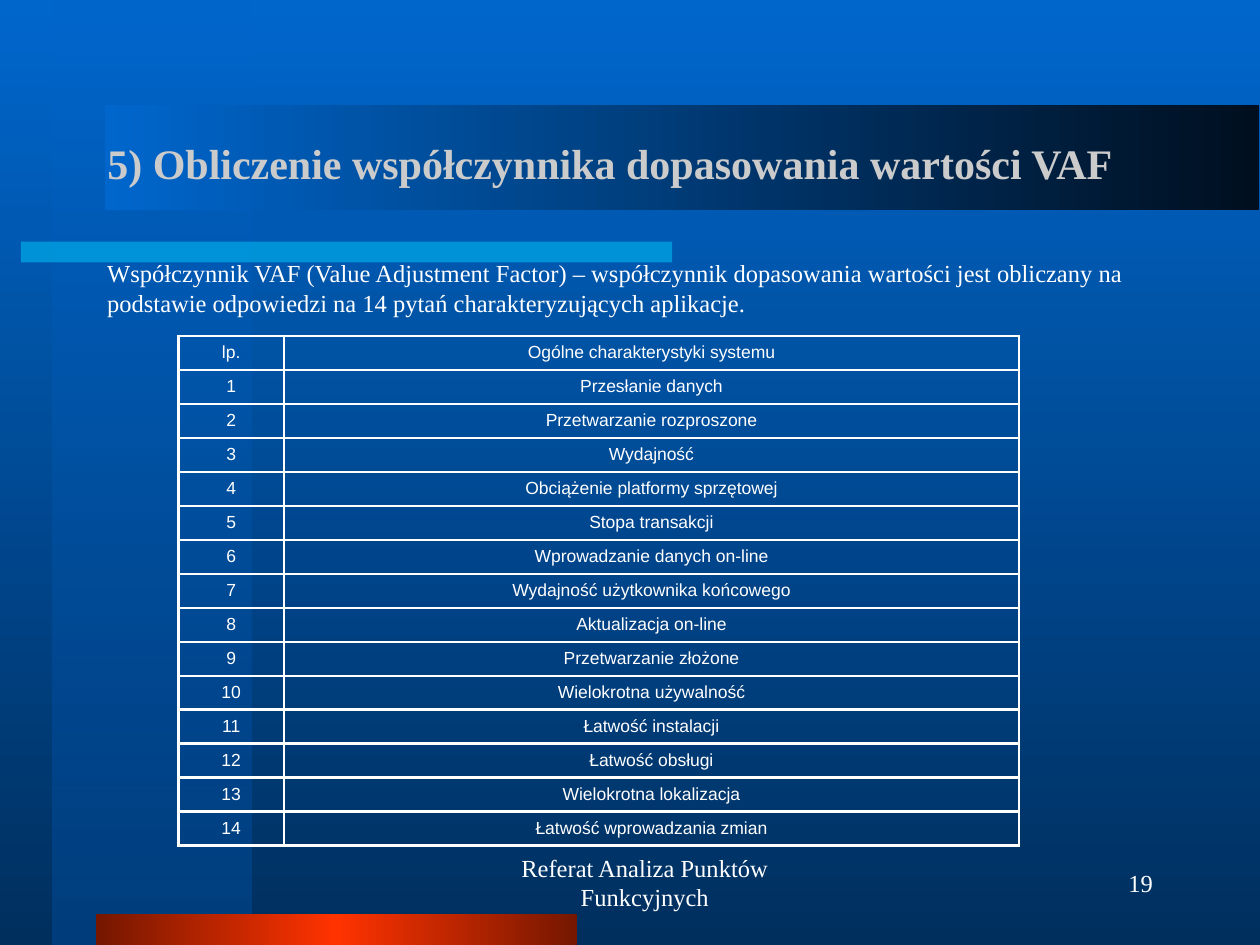
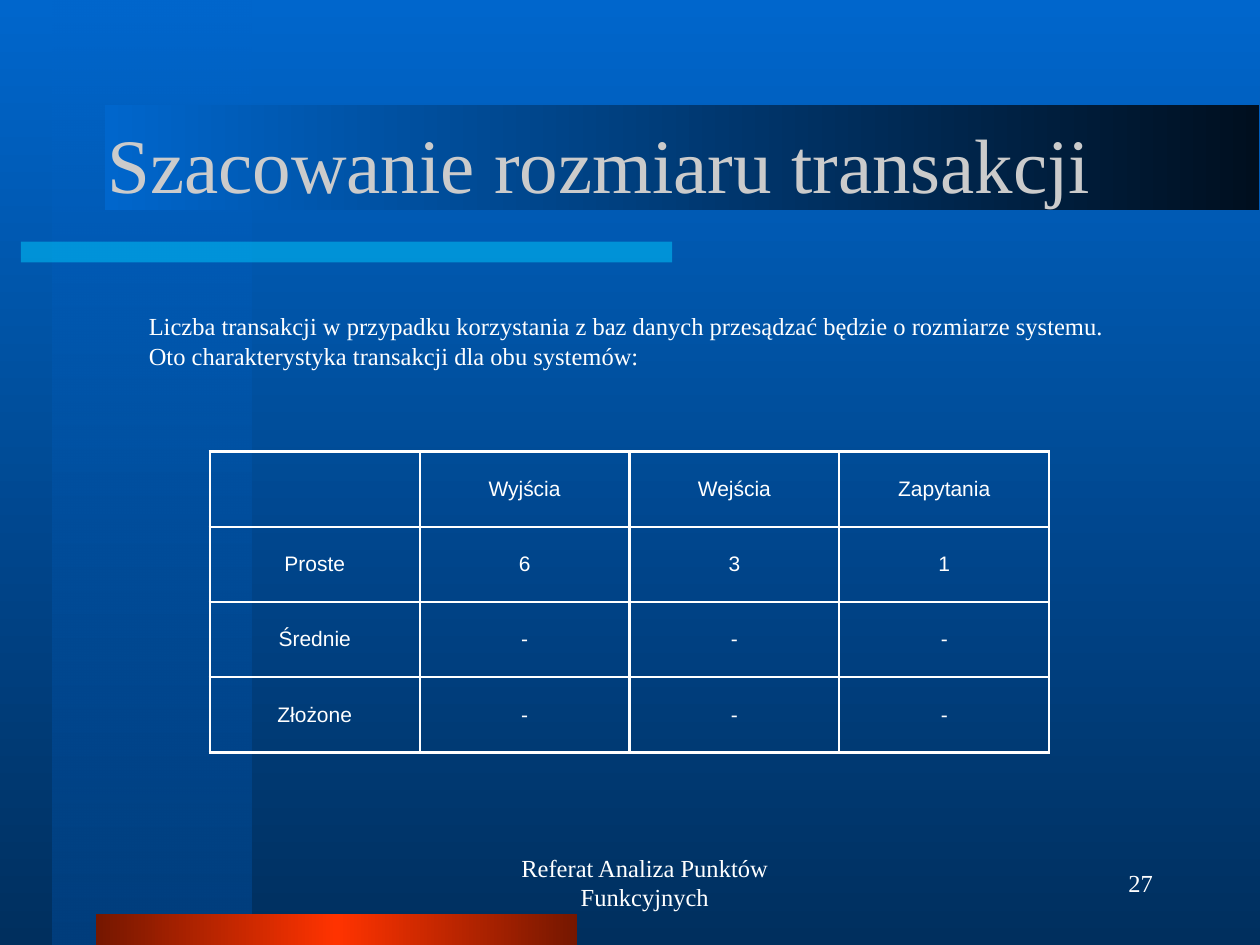
from lxml import etree
from pptx import Presentation
from pptx import util as u
from pptx.dml.color import RGBColor
from pptx.enum import shapes, text
from pptx.oxml.ns import qn

COLOURS = {
    "sky": "0066CC", "navy": "002F5E", "stripe": "003E7D", "cyan": "00CCFF",
    "maroon": "751700", "red": "FF3300", "night": "000F1F",
    "title": "CBCBCB", "white": "FFFFFF",
}
SERIF, SANS = "Times New Roman", "Arial"
FOOTER = "Referat Analiza Punktów Funkcyjnych"

# Gradient stops: position in percent, colour, opacity in percent
BACKGROUND = [(0, "sky", 100), (100, "navy", 100)]
# Bands: left, top, width, height in cm, stops, counter-clockwise angle
BANDS = [
    ((1.06, 0, 4.02, 19.05), [(0, "sky", 50), (100, "stripe", 100)], 270),
    ((0.42, 4.87, 13.13, 0.42), [(0, "cyan", 50)], None),
    ((1.93, 18.42, 9.71, 0.63),
     [(0, "maroon", 100), (50, "red", 100), (100, "maroon", 100)], 180),
    ((2.12, 2.12, 23.27, 2.12), [(0, "night", 100), (100, "sky", 100)], 180),
]

CHARACTERISTICS = [
    "Przesłanie danych", "Przetwarzanie rozproszone", "Wydajność",
    "Obciążenie platformy sprzętowej", "Stopa transakcji",
    "Wprowadzanie danych on-line", "Wydajność użytkownika końcowego",
    "Aktualizacja on-line", "Przetwarzanie złożone",
    "Wielokrotna używalność", "Łatwość instalacji", "Łatwość obsługi",
    "Wielokrotna lokalizacja", "Łatwość wprowadzania zmian",
]

SLIDES = [
    {
        "title": "5) Obliczenie współczynnika dopasowania wartości VAF",
        "title_size": 24, "title_bold": True,
        "intro": "Współczynnik VAF (Value Adjustment Factor) – współczynnik "
                 "dopasowania wartości jest obliczany na podstawie odpowiedzi "
                 "na 14 pytań charakteryzujących aplikacje.",
        "intro_box": (1.91, 5.08, 21.59, 1.45),
        "rows": [("lp.", "Ogólne charakterystyki systemu")] + [
            (str(number), name)
            for number, name in enumerate(CHARACTERISTICS, start=1)],
        "table_corner": (3.6, 6.77), "columns": [2.12, 14.82],
        "table_height": 10.28, "table_size": 10,
        "number": "19",
    },
    {
        "title": "Szacowanie rozmiaru transakcji",
        "title_size": 44, "title_bold": False,
        "intro": "Liczba transakcji w przypadku korzystania z baz danych "
                 "przesądzać będzie o rozmiarze systemu. Oto charakterystyka "
                 "transakcji dla obu systemów:",
        "intro_box": (2.75, 6.15, 20.32, 1.45),
        "rows": [
            ("", "Wyjścia", "Wejścia", "Zapytania"),
            ("Proste", "6", "3", "1"),
            ("Średnie", "-", "-", "-"),
            ("Złożone", "-", "-", "-"),
        ],
        "table_corner": (4.23, 9.1), "columns": [4.23] * 4,
        "table_height": 6.07, "table_size": 12,
        "number": "27",
    },
]


def colour(name):
    return RGBColor.from_string(COLOURS[name])


def add_colour(parent, name, opacity=100):
    node = etree.SubElement(parent, qn("a:srgbClr"), val=COLOURS[name])
    if opacity < 100:
        etree.SubElement(node, qn("a:alpha"), val=str(opacity * 1000))


def fill_gradient(fill, element, stops, angle):
    fill.gradient()
    fill.gradient_angle = angle
    stop_list = next(element.iter(qn("a:gsLst")))
    for old_stop in list(stop_list):
        stop_list.remove(old_stop)
    for position, name, opacity in stops:
        stop = etree.SubElement(stop_list, qn("a:gs"), pos=str(position * 1000))
        add_colour(stop, name, opacity)


def write(frame, content, size, font=SERIF, ink="white", bold=False,
          align=text.PP_ALIGN.LEFT):
    frame.text = content
    paragraph = frame.paragraphs[0]
    paragraph.alignment = align
    for run in paragraph.runs:
        run.font.size, run.font.name, run.font.bold = u.Pt(size), font, bold
        run.font.color.rgb = colour(ink)
    return paragraph


def add_text(slide, box, content, align=text.PP_ALIGN.LEFT,
             anchor=text.MSO_ANCHOR.TOP):
    frame = slide.shapes.add_textbox(*map(u.Cm, box)).text_frame
    frame.word_wrap = True
    frame.vertical_anchor = anchor
    return write(frame, content, 14, align=align)


def decorate_master(master, slide):
    """Set the background and move the bands to the bottom of the master."""
    fill_gradient(master.background.fill, master.element, BACKGROUND, 270)
    for index, (box, stops, angle) in enumerate(BANDS):
        band = slide.shapes.add_shape(
            shapes.MSO_SHAPE.RECTANGLE, *map(u.Cm, box))
        band.shadow.inherit = False
        band.line.fill.background()
        if angle is None:
            band.fill.solid()
            band.fill.fore_color.rgb = colour(stops[0][1])
            solid = next(band.element.spPr.iter(qn("a:solidFill")))
            solid.remove(solid[0])
            add_colour(solid, *stops[0][1:])
        else:
            fill_gradient(band.fill, band.element, stops, angle)
        next(band.element.iter(qn("p:cNvPr"))).set("id", str(100 + index))
        master.shapes.element.insert(2 + index, band.element)


def add_title(slide, content):
    title = slide.shapes.title
    title.left, title.top, title.width, title.height = map(
        u.Cm, (1.91, 1.7, 21.59, 3.17))
    frame = title.text_frame
    frame.auto_size = text.MSO_AUTO_SIZE.NONE
    frame.vertical_anchor = text.MSO_ANCHOR.MIDDLE
    write(frame, content["title"], content["title_size"], ink="title",
          bold=content["title_bold"])


def add_borders(cell):
    properties = cell._tc.get_or_add_tcPr()
    for index, side in enumerate(("lnL", "lnR", "lnT", "lnB")):
        line = etree.Element(qn(f"a:{side}"), w=str(u.Pt(1.47)))
        add_colour(etree.SubElement(line, qn("a:solidFill")), "white")
        properties.insert(index, line)


def add_grid(slide, content):
    rows, columns = content["rows"], content["columns"]
    size = (sum(columns), content["table_height"])
    table = slide.shapes.add_table(
        len(rows), len(columns),
        *map(u.Cm, content["table_corner"] + size)).table
    table.first_row = table.horz_banding = False
    for column, width in zip(table.columns, columns):
        column.width = u.Cm(width)
    for row, values in zip(table.rows, rows):
        row.height = u.Cm(content["table_height"] / len(rows))
        for cell, value in zip(row.cells, values):
            cell.fill.background()
            cell.vertical_anchor = text.MSO_ANCHOR.MIDDLE
            write(cell.text_frame, value, content["table_size"], SANS,
                  align=text.PP_ALIGN.CENTER)
            add_borders(cell)


def add_footer(slide, number):
    for left, width, content, align in (
            (8.68, 8.04, FOOTER, text.PP_ALIGN.CENTER),
            (18.2, 5.29, number, text.PP_ALIGN.RIGHT)):
        paragraph = add_text(slide, (left, 17.15, width, 1.27), content,
                             align, text.MSO_ANCHOR.MIDDLE)
        properties = paragraph._p.get_or_add_pPr()
        properties.set("marL", str(u.Cm(0.6)))
        properties.set("indent", "0")


def main():
    presentation = Presentation()
    presentation.slide_width, presentation.slide_height = u.Cm(25.4), u.Cm(19.05)
    for index, content in enumerate(SLIDES):
        slide = presentation.slides.add_slide(presentation.slide_layouts[5])
        if index == 0:
            decorate_master(presentation.slide_master, slide)
        add_title(slide, content)
        add_text(slide, content["intro_box"], content["intro"])
        add_grid(slide, content)
        add_footer(slide, content["number"])
    presentation.save("out.pptx")


if __name__ == "__main__":
    main()
